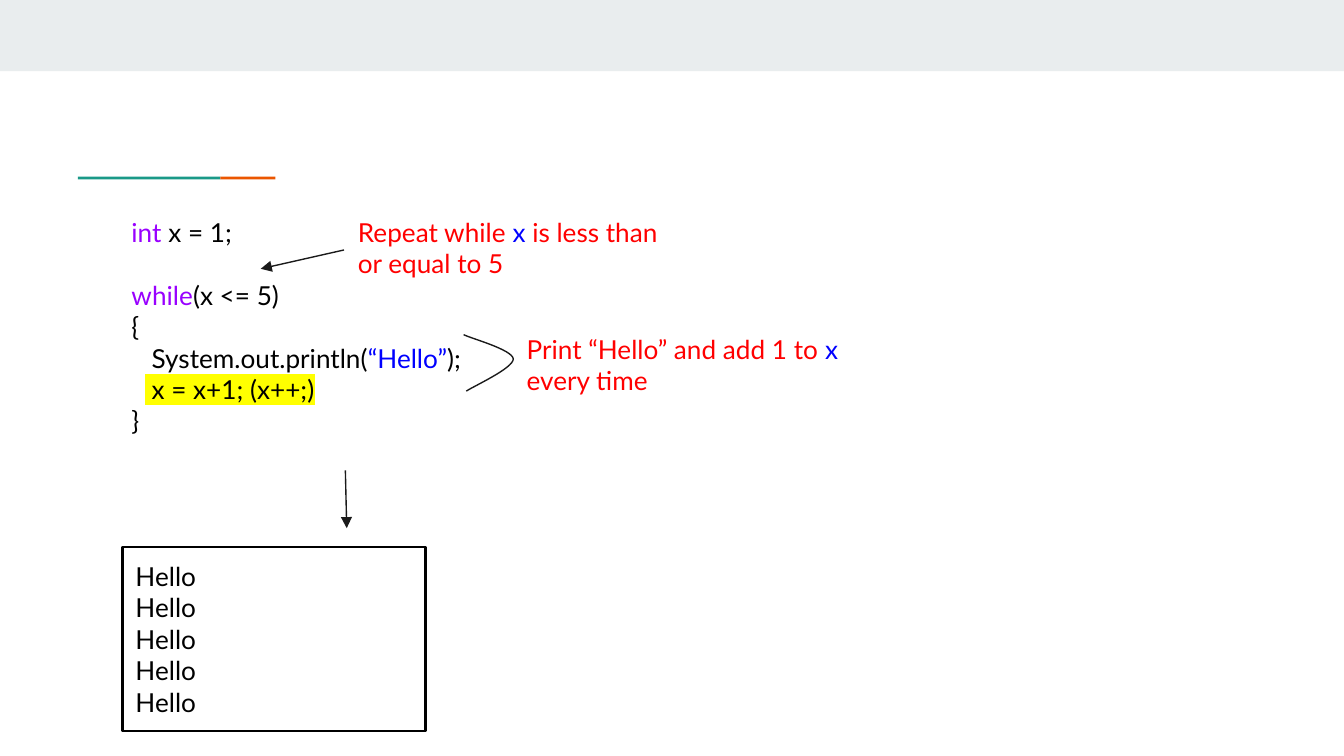
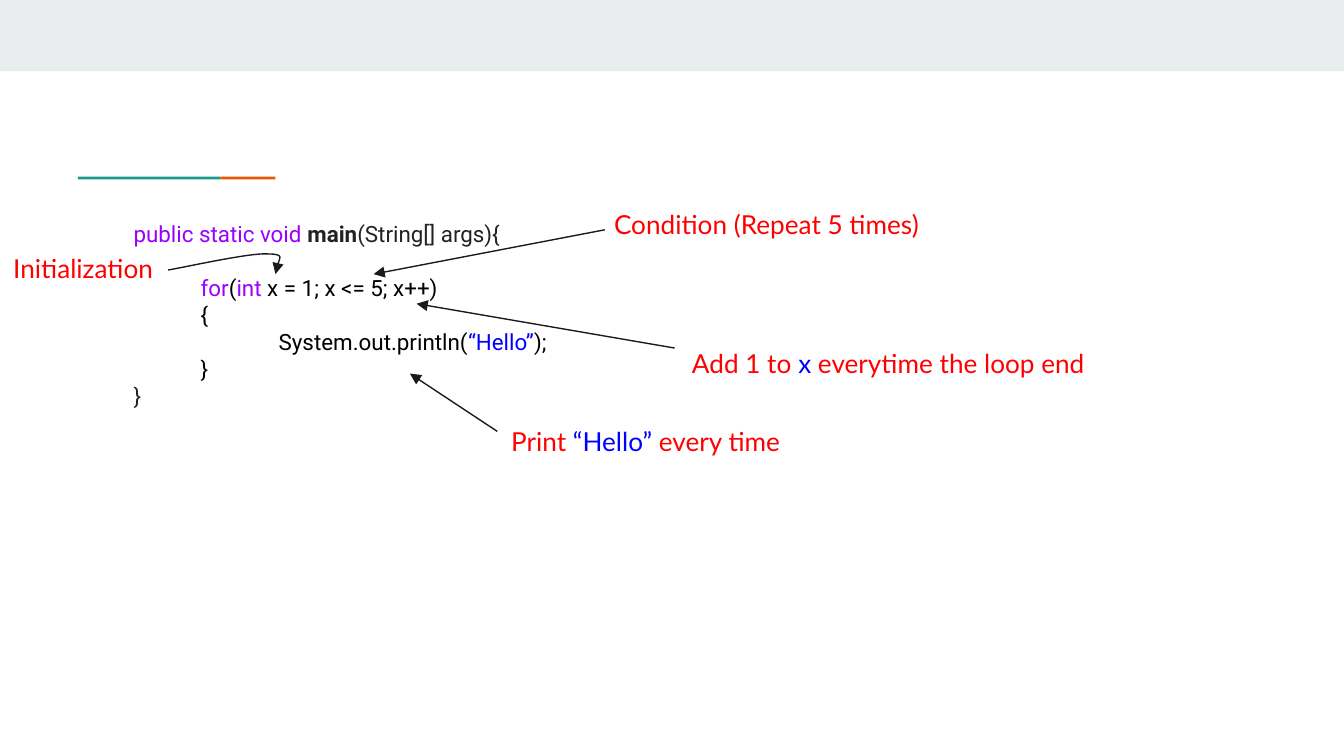
from dataclasses import dataclass

from lxml import etree
from pptx import Presentation
from pptx.dml.color import RGBColor
from pptx.enum.shapes import MSO_CONNECTOR, MSO_SHAPE
from pptx.enum.text import MSO_ANCHOR, PP_ALIGN
from pptx.oxml.ns import qn
from pptx.util import Inches, Pt

STRAIGHT = MSO_CONNECTOR.STRAIGHT
RECTANGLE = MSO_SHAPE.RECTANGLE
TOP = MSO_ANCHOR.TOP
LEFT = PP_ALIGN.LEFT
BOTTOM_SIDE = 2

COLUMNS, ROWS = 100, 56.25
CELL = Inches(0.1)


@dataclass(frozen=True)
class Theme:
    band: str = "E9EDEE"
    teal: str = "1A9988"
    orange: str = "EB5600"
    stroke: str = "1A1A1A"
    code: str = "000000"
    method: str = "222222"
    keyword: str = "9900FF"
    literal: str = "0000FF"
    note: str = "FF0000"
    marker: str = "FFFF00"
    main_font: str = "Lato"
    method_font: str = "Roboto"
    main_size: float = 14
    method_size: float = 12
    line_height: float = 1.2
    thin: float = 0.75
    thick: float = 1.5


THEME = Theme()

HEADER = [
    ((0, 0, COLUMNS, 5.3), THEME.band),
    ((5.8, 13.15, 10.6, 0.2), THEME.teal),
    ((16.4, 13.15, 4.1, 0.2), THEME.orange),
]

WHILE_LOOP = {
    "code": {
        "box": (8.8, 15.1, 33.8, 19.9),
        "lines": [
            {"runs": [("int ", "keyword"), ("x = 1;", "code")]},
            {"runs": [("while", "keyword"), ("(x <= 5)", "code")], "gap": 1},
            {"runs": [("{", "code")]},
            {"runs": [("System.out.println(", "code"), ("“Hello”", "literal"), (");", "code")], "indent": 1.5},
            {"runs": [(" x = x+1; (x++;)", "code", "marker")], "indent": 1},
            {"runs": [("}", "code")]},
        ],
        "font": THEME.main_font,
        "size": THEME.main_size,
    },
    "output": {"box": (9.1, 40.7, 22.6, 13.7), "lines": [{"runs": [("Hello", "code")]}] * 5},
    "output_arrow": ((25.7, 35), (25.8, 39.3)),
    "notes": [
        ((25.65, 15.1, 26, 3.5), [[("Repeat while ", "note"), ("x", "literal"), (" is less than or equal to 5", "note")]]),
        ((38.2, 23.8, 28.3, 4.3), [[("Print “Hello” and add 1 to ", "note"), ("x", "literal")], [("every time", "note")]]),
    ],
    "arrows": [((25.6, 18.6), (19.4, 20))],
    "curve": [(34.5, 24.9), (35.1, 25.2), (38.1, 26), (38.2, 26.7), (38.2, 27.4), (35.3, 28.7), (34.7, 29.1)],
    "curve_arrow": False,
}

FOR_LOOP = {
    "code": {
        "box": (8.95, 15.4, 40.8, 34.8),
        "lines": [
            {"runs": [("public static void", "keyword"), (" ", "method"), ("main", "method", "bold"), ("(String[] args){", "method")]},
            {"runs": [("for", "keyword"), ("(", "code"), ("int ", "keyword"), ("x = 1; x <= 5; x++)", "code")], "indent": 5, "gap": 1},
            {"runs": [("{", "code")], "indent": 5},
            {"runs": [("System.out.println(", "code"), ("“Hello”", "literal"), (");", "code")], "indent": 10.8},
            {"runs": [("}", "code")], "indent": 5},
            {"runs": [("}", "method")]},
        ],
        "font": THEME.method_font,
        "size": THEME.method_size,
    },
    "notes": [
        ((44.7, 14.5, 27.1, 2.7), [[("Condition (Repeat 5 times)", "note")]]),
        ((50.5, 24.85, 32.8, 2.7), [[("Add 1 to ", "note"), ("x ", "literal"), ("everytime the loop end", "note")]]),
        ((37.05, 30.65, 23.3, 3.5), [[("Print ", "note"), ("“Hello”", "literal"), (" every time", "note")]]),
        ((0, 18.2, 14, 1.6), [[("Initialization", "note")]]),
    ],
    "arrows": [
        ((45, 17.1), (27.8, 20.4)),
        ((50.2, 25.9), (31, 22.6)),
        ((37, 32.1), (30.5, 27.8)),
    ],
    "curve": [(20.5, 20.4), (20.4, 20.2), (21.3, 18.9), (19.9, 18.9), (18.6, 18.8), (13.7, 19.9), (12.5, 20.1)],
    "curve_arrow": True,
}


def cells(values):
    return [round(value * CELL) for value in values]


def color(value):
    return RGBColor.from_string(value)


def add_block(slide, box, fill=None, outline=None):
    block = slide.shapes.add_shape(RECTANGLE, *cells(box))
    block.shadow.inherit = False
    if fill:
        block.fill.solid()
        block.fill.fore_color.rgb = color(fill)
    else:
        block.fill.background()
    if outline:
        block.line.color.rgb = color(outline)
        block.line.width = Pt(THEME.thick)
    else:
        block.line.fill.background()
    return block


def highlight(run):
    mark = etree.Element(qn("a:highlight"))
    etree.SubElement(mark, qn("a:srgbClr")).set("val", THEME.marker)
    run.font._element.find(qn("a:latin")).addprevious(mark)


def write(holder, lines, font=THEME.main_font, size=THEME.main_size):
    frame = holder.text_frame
    frame.word_wrap = True
    frame.vertical_anchor = TOP
    frame.margin_left = frame.margin_top = frame.margin_right = frame.margin_bottom = CELL
    for index, line in enumerate(lines):
        paragraph = frame.add_paragraph() if index else frame.paragraphs[0]
        paragraph.alignment = LEFT
        paragraph.space_before = Pt(line.get("gap", 0) * size * THEME.line_height)
        indent = round(line.get("indent", 0) * CELL)
        properties = paragraph._p.get_or_add_pPr()
        properties.set("marL", str(indent))
        properties.set("indent", "0")
        for words, role, *style in line["runs"]:
            run = paragraph.add_run()
            run.text = words
            run.font.size = Pt(size)
            run.font.bold = "bold" in style
            run.font.color.rgb = color(getattr(THEME, role))
            run.font.name = font
            if "marker" in style:
                highlight(run)


def add_text(slide, box, lines, **text_format):
    holder = slide.shapes.add_textbox(*cells(box))
    write(holder, lines, **text_format)
    return holder


def style_stroke(stroke, end=None):
    stroke.line.color.rgb = color(THEME.stroke)
    stroke.line.width = Pt(THEME.thin)
    if end:
        etree.SubElement(stroke.line._get_or_add_ln(), qn(f"a:{end}")).set("type", "triangle")


def add_arrow(slide, start, finish, source=None):
    arrow = slide.shapes.add_connector(STRAIGHT, *cells(start + finish))
    if source is not None:
        arrow.begin_connect(source, BOTTOM_SIDE)
    style_stroke(arrow, "tailEnd")
    etree.SubElement(arrow._element.spPr, qn("a:effectLst"))


def add_curve(slide, points, arrow):
    start, *controls = [tuple(cells(point)) for point in points]
    builder = slide.shapes.build_freeform(*start)
    builder.add_line_segments(controls, close=False)
    curve = builder.convert_to_shape()
    segments = list(curve._element.iter(qn("a:lnTo")))
    for first in range(0, len(segments), 3):
        bezier = etree.Element(qn("a:cubicBezTo"))
        segments[first].addprevious(bezier)
        for segment in segments[first:first + 3]:
            bezier.append(segment[0])
            segment.getparent().remove(segment)
    curve.fill.background()
    style_stroke(curve, "headEnd" if arrow else None)
    curve.shadow.inherit = False


def add_loop_slide(deck, loop):
    slide = deck.slides.add_slide(deck.slide_layouts[6])
    for box, fill in HEADER:
        add_block(slide, box, fill=fill)
    code = add_text(slide, **loop["code"])
    if "output" in loop:
        output = add_block(slide, loop["output"]["box"], outline=THEME.code)
        write(output, loop["output"]["lines"])
        add_arrow(slide, *loop["output_arrow"], source=code)
    for start, finish in loop["arrows"]:
        add_arrow(slide, start, finish)
    for box, lines in loop["notes"]:
        add_text(slide, box, [{"runs": runs} for runs in lines])
    add_curve(slide, loop["curve"], loop["curve_arrow"])


def main():
    deck = Presentation()
    deck.slide_width, deck.slide_height = cells((COLUMNS, ROWS))
    for loop in (WHILE_LOOP, FOR_LOOP):
        add_loop_slide(deck, loop)
    deck.save("out.pptx")


if __name__ == "__main__":
    main()
